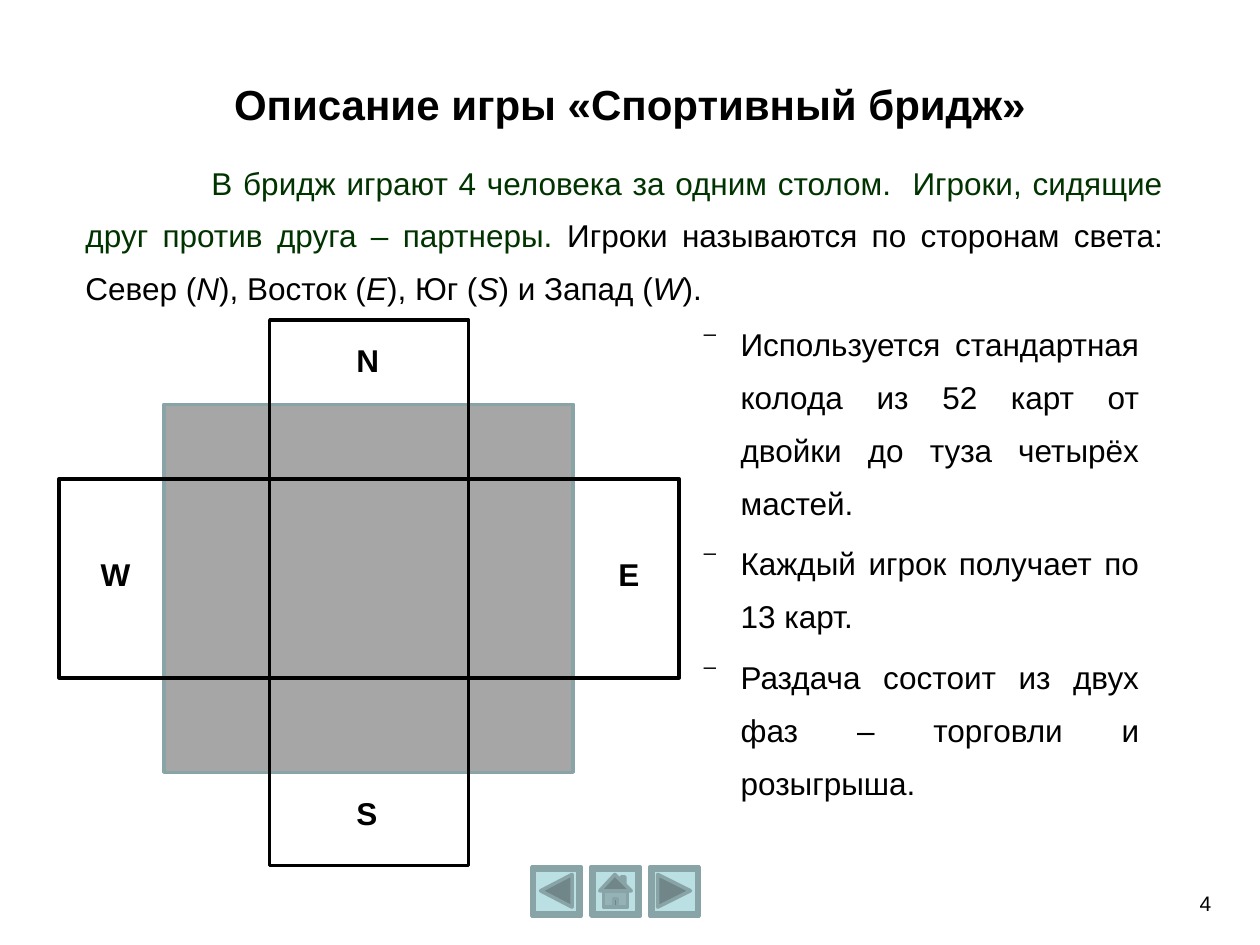
from lxml.etree import SubElement as Sub
from pptx import Presentation
from pptx.dml.color import RGBColor as Rgb
from pptx.enum.shapes import MSO_SHAPE as Shape
from pptx.enum.text import MSO_ANCHOR as Anchor, MSO_AUTO_SIZE as Fit, PP_ALIGN as Align
from pptx.oxml.ns import qn
from pptx.util import Inches, Pt

COLORS = {
    "text": "000000", "green": "003300", "table": "A6A6A6",
    "frame": "89A4A7", "face": "BBE0E3", "dark": "708688", "mid": "95B3B6",
}
BODY = {"alignment": Align.JUSTIFY, "line_spacing": 1.4, "space_before": Pt(4.5)}

# Outlines inside a button, measured from its corner
BACK = [(0.07, 0.19), (0.32, 0.06), (0.32, 0.32)]
NEXT = [(0.06, 0.06), (0.32, 0.19), (0.06, 0.32)]
WALLS = [(0.1, 0.19), (0.29, 0.19), (0.29, 0.32), (0.1, 0.32)]
CHIMNEY = [(0.24, 0.11), (0.24, 0.08), (0.27, 0.08), (0.27, 0.14)]
ROOF = [(0.19, 0.06), (0.32, 0.19), (0.07, 0.19)]
DOOR = [(0.18, 0.25), (0.21, 0.25), (0.21, 0.32), (0.18, 0.32)]
HOME = [(WALLS, "mid"), (CHIMNEY, "mid"), (ROOF, "dark"), (DOOR, "dark")]


def color(name):
    return Rgb.from_string(COLORS[name])


def apply(item, form):
    for key, value in form.items():
        setattr(item, key, value)


def add_run(para, text, tint="text", **form):
    run = para.add_run()
    run.text = text
    apply(run.font, {"name": "Arial", "size": Pt(18), **form})
    run.font.color.rgb = color(tint)


def add_text(slide, box, anchor=Anchor.TOP, fit=Fit.NONE):
    frame = slide.shapes.add_textbox(*map(Inches, box)).text_frame
    apply(frame, {"word_wrap": True, "auto_size": fit, "vertical_anchor": anchor})
    return frame


def add_bullet(para, mark):
    props = para._p.get_or_add_pPr()
    props.set("marL", str(Inches(0.31)))
    props.set("indent", str(-Inches(0.31)))
    tint = Sub(props, qn("a:buClr"))
    Sub(tint, qn("a:srgbClr"), val=COLORS["text"])
    Sub(props, qn("a:buChar"), char=mark)


def paint(shape, fill, line, width=2):
    shape.shadow.inherit = False
    if fill:
        shape.fill.solid()
        shape.fill.fore_color.rgb = color(fill)
    else:
        shape.fill.background()
    shape.line.color.rgb = color(line)
    shape.line.width = Pt(width)


def add_box(slide, box, fill=None, line="text", kind=Shape.RECTANGLE):
    shape = slide.shapes.add_shape(kind, *map(Inches, box))
    paint(shape, fill, line)
    return shape


def add_button(slide, left, icon):
    top = 6.88
    face = add_box(slide, (left, top, 0.39, 0.39), "face", "frame", Shape.BEVEL)
    face.adjustments[0] = 0.06
    for points, fill in icon:
        spots = [(Inches(left + x), Inches(top + y)) for x, y in points]
        pen = slide.shapes.build_freeform(*spots[0])
        pen.add_line_segments(spots[1:], close=True)
        paint(pen.convert_to_shape(), fill, "frame")


def add_intro(slide):
    para = add_text(slide, (0.58, 1.13, 8.75, 1.36)).paragraphs[0]
    apply(para, BODY)
    para._p.get_or_add_pPr().set("indent", str(Inches(1)))
    add_run(para, "В бридж играют 4 человека за одним столом.  Игроки, сидящие "
            "друг против друга – партнеры. ", "green")
    add_run(para, "Игроки называются по сторонам света: ")
    for side, mark, end in [("Север", "N", "), "), ("Восток", "E", "), "),
                            ("Юг", "S", ") и "), ("Запад", "W", ").")]:
        add_run(para, side + " (")
        add_run(para, mark, italic=True)
        add_run(para, end)


def add_rules(slide):
    frame = add_text(slide, (5.47, 2.41, 3.67, 4.01))
    rules = [
        "Используется стандартная колода из 52 карт от двойки до туза четырёх мастей.",
        "Каждый игрок получает по 13 карт.",
        "Раздача состоит из двух фаз – торговли и розыгрыша.",
    ]
    for i, rule in enumerate(rules):
        para = frame.add_paragraph() if i else frame.paragraphs[0]
        apply(para, BODY)
        add_bullet(para, "⁻")
        add_run(para, rule)


def main():
    deck = Presentation()
    apply(deck, {"slide_width": Inches(10), "slide_height": Inches(7.5)})
    slide = deck.slides.add_slide(deck.slide_layouts[6])

    # Title and body text
    title = add_text(slide, (0, 0.47, 10, 0.7), Anchor.MIDDLE).paragraphs[0]
    title.alignment = Align.CENTER
    add_run(title, "Описание игры «Спортивный бридж»", size=Pt(24), bold=True)
    add_intro(slide)
    add_rules(slide)

    # Slide number
    frame = add_text(slide, (9.49, 6.97, 0.32, 0.4), Anchor.MIDDLE)
    apply(frame, {"margin_left": Inches(0.03), "margin_right": Inches(0.05)})
    add_run(frame.paragraphs[0], "4", size=Pt(12))

    # Card table with the two pairs of partners
    add_box(slide, (1.3, 3.21, 3.25, 2.92), "table", "frame")
    add_box(slide, (2.14, 2.54, 1.58, 4.33))
    add_box(slide, (0.47, 3.8, 4.92, 1.58))
    for name, left, top, width in [("W", 0.7, 4.36, 0.75), ("N", 2.73, 2.66, 1),
                                   ("E", 4.81, 4.36, 0.58), ("S", 2.73, 6.25, 0.92)]:
        frame = add_text(slide, (left, top, width, 0.4), fit=Fit.SHAPE_TO_FIT_TEXT)
        add_run(frame.paragraphs[0], name, bold=True)

    # Navigation buttons
    for i, icon in enumerate([[(BACK, "dark")], HOME, [(NEXT, "dark")]]):
        add_button(slide, 4.22 + 0.47 * i, icon)

    deck.save("out.pptx")


if __name__ == "__main__":
    main()
